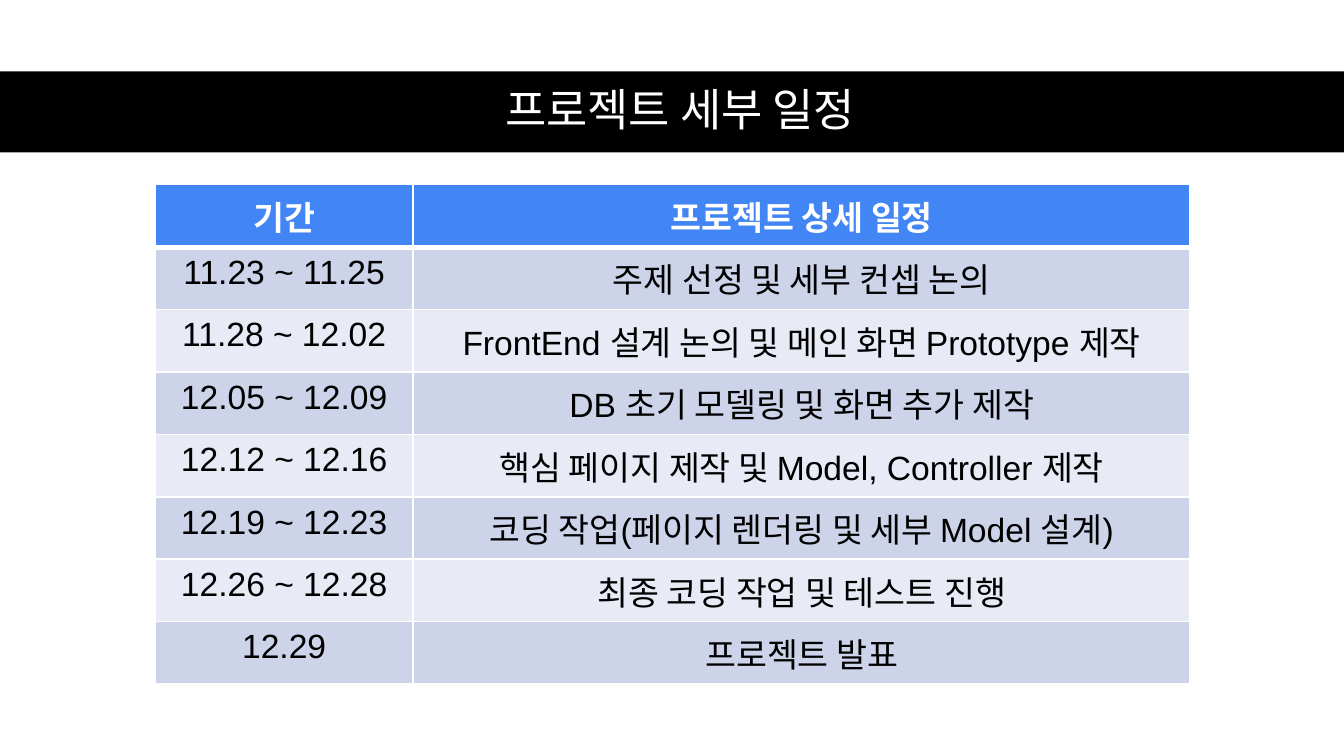
"""Build the project schedule slide: a title band above a two-column timetable."""
from dataclasses import dataclass

import lxml.etree
import pptx
import pptx.dml.color
import pptx.enum.shapes
import pptx.enum.text
import pptx.oxml.ns
import pptx.util

Cm = pptx.util.Cm
Pt = pptx.util.Pt


@dataclass(frozen=True)
class Theme:
    white: str = "FFFFFF"
    black: str = "000000"
    header: str = "4285F4"
    stripes: tuple = ("CDD4EA", "E8EBF5")
    latin_font: str = "Arial"
    korean_font: str = "Noto Sans CJK KR"
    title_size: int = 24
    table_size: int = 18
    thin_border: int = 1
    thick_border: int = 3


THEME = Theme()
TITLE = "프로젝트 세부 일정"
SCHEDULE = [
    ("기간", "프로젝트 상세 일정"),
    ("11.23 ~ 11.25", "주제 선정 및 세부 컨셉 논의"),
    ("11.28 ~ 12.02", "FrontEnd 설계 논의 및 메인 화면 Prototype 제작"),
    ("12.05 ~ 12.09", "DB 초기 모델링 및 화면 추가 제작"),
    ("12.12 ~ 12.16", "핵심 페이지 제작 및 Model, Controller 제작"),
    ("12.19 ~ 12.23", "코딩 작업(페이지 렌더링 및 세부 Model 설계)"),
    ("12.26 ~ 12.28", "최종 코딩 작업 및 테스트 진행"),
    ("12.29", "프로젝트 발표"),
]
COLUMN_WIDTHS = (Cm(4.88), Cm(14.68))
ROW_HEIGHT = Cm(1.17)


def rgb(value):
    return pptx.dml.color.RGBColor.from_string(value)


def add_element(parent, tag, **attributes):
    return lxml.etree.SubElement(parent, pptx.oxml.ns.qn(tag), **attributes)


def write_centred(text_frame, text, font_name, size, color, bold=False):
    paragraph = text_frame.paragraphs[0]
    paragraph.alignment = pptx.enum.text.PP_ALIGN.CENTER
    run = paragraph.add_run()
    run.text = text
    run.font.name = font_name
    run.font.size = Pt(size)
    run.font.bold = bold
    run.font.color.rgb = rgb(color)
    add_element(run.font._element, "a:ea", typeface=THEME.korean_font)
    return paragraph


def add_band(slide, width):
    band = slide.shapes.add_shape(
        pptx.enum.shapes.MSO_SHAPE.RECTANGLE, 0, Cm(1.35), width, Cm(1.53))
    band.shadow.inherit = False
    band.fill.solid()
    band.fill.fore_color.rgb = rgb(THEME.black)
    band.line.fill.background()
    slide.shapes._spTree.insert(2, band._element)


def format_title(slide):
    title = slide.shapes.title
    title.left, title.top, title.width, title.height = (
        Cm(1.17), Cm(1.35), Cm(23.37), Cm(1.55))
    frame = title.text_frame
    frame.auto_size = pptx.enum.text.MSO_AUTO_SIZE.NONE
    frame.vertical_anchor = pptx.enum.text.MSO_ANCHOR.MIDDLE
    frame.margin_left = frame.margin_right = Cm(0.18)
    frame.margin_top = frame.margin_bottom = Cm(0.1)
    paragraph = write_centred(
        frame, TITLE, THEME.korean_font, THEME.title_size, THEME.white)
    paragraph.line_spacing = 0.9


def set_borders(cell, top, bottom):
    properties = cell._tc.get_or_add_tcPr()
    widths = {"L": THEME.thin_border, "R": THEME.thin_border, "T": top, "B": bottom}
    for side, width in widths.items():
        line = add_element(properties, f"a:ln{side}", w=str(Pt(width)))
        fill = add_element(line, "a:solidFill")
        add_element(fill, "a:srgbClr", val=THEME.white)


def format_cell(cell, text, row_index):
    is_header = row_index == 0
    set_borders(
        cell,
        top=THEME.thick_border if row_index == 1 else THEME.thin_border,
        bottom=THEME.thick_border if is_header else THEME.thin_border)
    cell.fill.solid()
    cell.fill.fore_color.rgb = rgb(
        THEME.header if is_header else THEME.stripes[(row_index - 1) % 2])
    cell.margin_left = cell.margin_right = Cm(0.25)
    cell.margin_top = cell.margin_bottom = Cm(0.13)
    write_centred(
        cell.text_frame, text, THEME.latin_font, THEME.table_size,
        THEME.white if is_header else THEME.black, bold=is_header)


def add_schedule(slide):
    table = slide.shapes.add_table(
        len(SCHEDULE), len(COLUMN_WIDTHS), Cm(2.93), Cm(3.49),
        sum(COLUMN_WIDTHS), ROW_HEIGHT * len(SCHEDULE)).table
    for column, width in zip(table.columns, COLUMN_WIDTHS):
        column.width = width
    for row_index, texts in enumerate(SCHEDULE):
        table.rows[row_index].height = ROW_HEIGHT
        for column_index, text in enumerate(texts):
            format_cell(table.cell(row_index, column_index), text, row_index)


def main():
    presentation = pptx.Presentation()
    presentation.slide_width = Cm(25.4)
    presentation.slide_height = Cm(14.29)
    slide = presentation.slides.add_slide(presentation.slide_layouts[5])
    add_band(slide, presentation.slide_width)
    format_title(slide)
    add_schedule(slide)
    presentation.save("out.pptx")


if __name__ == "__main__":
    main()
